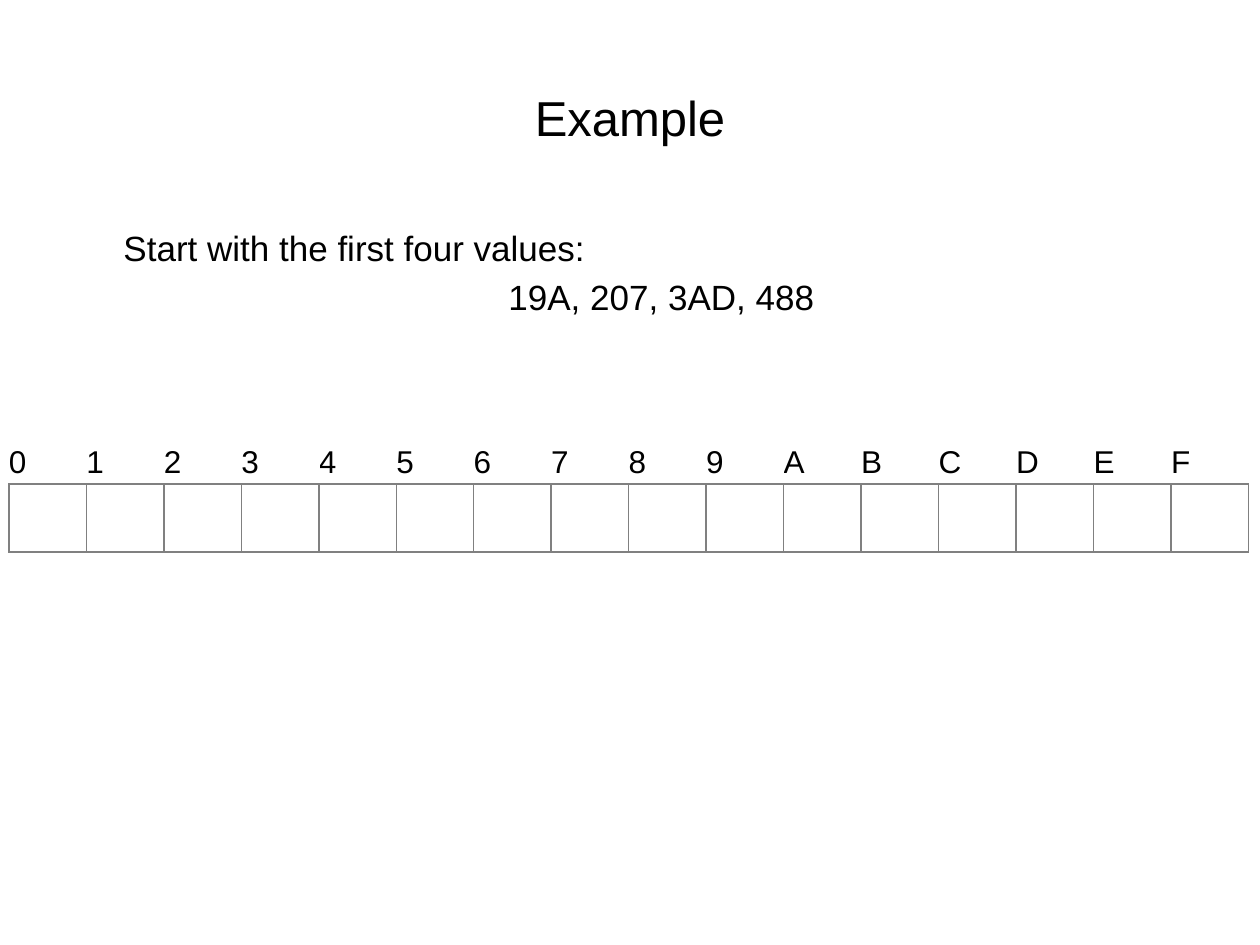
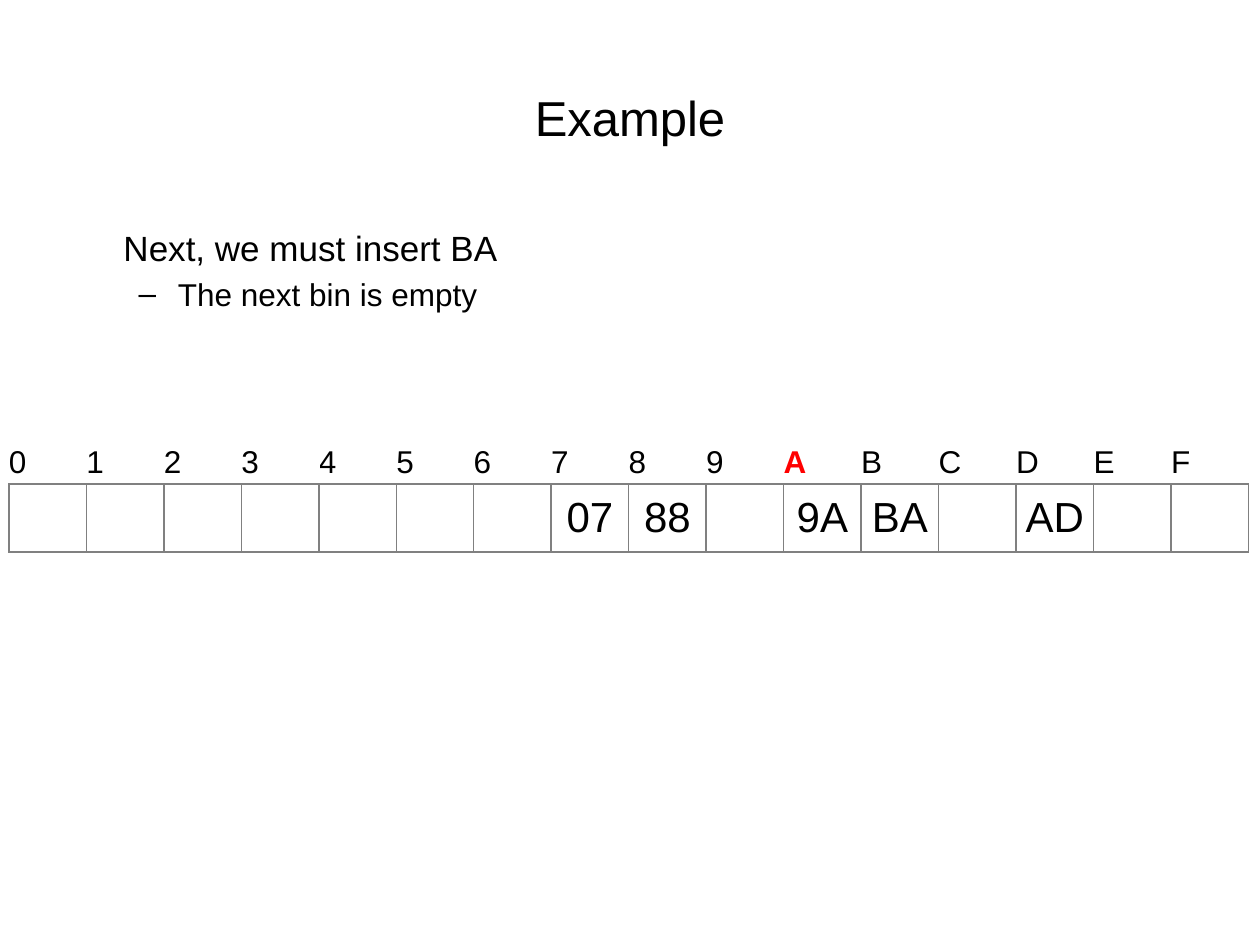
from lxml import etree
from pptx import Presentation, util as u
from pptx.dml.color import RGBColor
from pptx.enum import text
from pptx.oxml.ns import qn

# Content
BINS = "0123456789ABCDEF"
SLIDES = [
    {
        "title": "Example",
        "lead": "Start with the first four values:",
        "detail": "19A, 207, 3AD, 488",
        "centred": True,
        "detail_size": 20,
        "stored": {},
        "probed": "",
    },
    {
        "title": "Example",
        "lead": "Next, we must insert BA",
        "detail": "The next bin is empty",
        "centred": False,
        "detail_size": 18,
        "stored": {"7": "07", "8": "88", "A": "9A", "B": "BA", "D": "AD"},
        "probed": "A",
    },
]

# Shared style, lengths in inches
COLOURS = {"ink": "000000", "probe": "FF0000", "grid": "808080"}
FONT = "Arial"
WIDTH, HEIGHT = 10, 7.5
MARGIN = 0.5
TITLE_TOP, TITLE_HEIGHT = 0.3, 1.25
BODY_TOP, BODY_HEIGHT = 1.75, 4.95
LEAD_INDENT = 0.38
TABLE_LEFT, TABLE_TOP = 0.07, 3.51
BIN_WIDTH = 0.615
ROW_HEIGHTS = (0.33, 0.54)


def place(box, top, height):
    box.left, box.top = u.Inches(MARGIN), u.Inches(top)
    box.width, box.height = u.Inches(WIDTH - 2 * MARGIN), u.Inches(height)


def style(para, size, colour="ink", bold=False):
    para.font.name = FONT
    para.font.size = u.Pt(size)
    para.font.bold = bold
    para.font.color.rgb = RGBColor.from_string(COLOURS[colour])


def remove_bullet(para):
    etree.SubElement(para._p.get_or_add_pPr(), qn("a:buNone"))


def add_borders(cell, sides):
    properties = cell._tc.get_or_add_tcPr()
    for side in sides:
        line = etree.SubElement(properties, qn("a:ln" + side), w=str(u.Pt(1)))
        fill = etree.SubElement(line, qn("a:solidFill"))
        etree.SubElement(fill, qn("a:srgbClr"), val=COLOURS["grid"])


def fill_body(box, content):
    place(box, BODY_TOP, BODY_HEIGHT)
    lead = box.text_frame.paragraphs[0]
    lead.text = content["lead"]
    properties = lead._p.get_or_add_pPr()
    properties.set("marL", str(u.Inches(LEAD_INDENT)))
    properties.set("indent", "0")
    lead.space_before = u.Pt(0)
    remove_bullet(lead)
    style(lead, 20)

    # The second level keeps the template's dash unless it is centred
    detail = box.text_frame.add_paragraph()
    detail.text = content["detail"]
    detail.level = 1
    if content["centred"]:
        detail.alignment = text.PP_ALIGN.CENTER
        remove_bullet(detail)
    style(detail, content["detail_size"])


def fill_cell(cell, value, size, borders, colour="ink", bold=False):
    cell.margin_left = cell.margin_right = 0
    cell.margin_top = cell.margin_bottom = 0
    cell.vertical_anchor = text.MSO_ANCHOR.MIDDLE
    add_borders(cell, borders)
    cell.fill.background()
    para = cell.text_frame.paragraphs[0]
    para.text = value
    style(para, size, colour, bold)
    return para


def add_bins(page, stored, probed):
    frame = page.shapes.add_table(
        len(ROW_HEIGHTS), len(BINS), u.Inches(TABLE_LEFT), u.Inches(TABLE_TOP),
        u.Inches(BIN_WIDTH * len(BINS)), u.Inches(sum(ROW_HEIGHTS)))
    table = frame.table
    table.first_row = table.horz_banding = False
    for row, height in zip(table.rows, ROW_HEIGHTS):
        row.height = u.Inches(height)
    for index, name in enumerate(BINS):
        table.columns[index].width = u.Inches(BIN_WIDTH)
        hit = name == probed
        fill_cell(table.cell(0, index), name, 18, "B",
                  "probe" if hit else "ink", hit)
        value = fill_cell(table.cell(1, index), stored.get(name, ""), 24, "LRTB")
        value.alignment = text.PP_ALIGN.CENTER


def add_page(deck, content):
    page = deck.slides.add_slide(deck.slide_layouts[1])
    title = page.shapes.title
    place(title, TITLE_TOP, TITLE_HEIGHT)
    title.text_frame.text = content["title"]
    style(title.text_frame.paragraphs[0], 28)
    fill_body(page.placeholders[1], content)
    add_bins(page, content["stored"], content["probed"])


def main():
    deck = Presentation()
    deck.slide_width, deck.slide_height = u.Inches(WIDTH), u.Inches(HEIGHT)
    for content in SLIDES:
        add_page(deck, content)
    deck.save("out.pptx")


if __name__ == "__main__":
    main()
